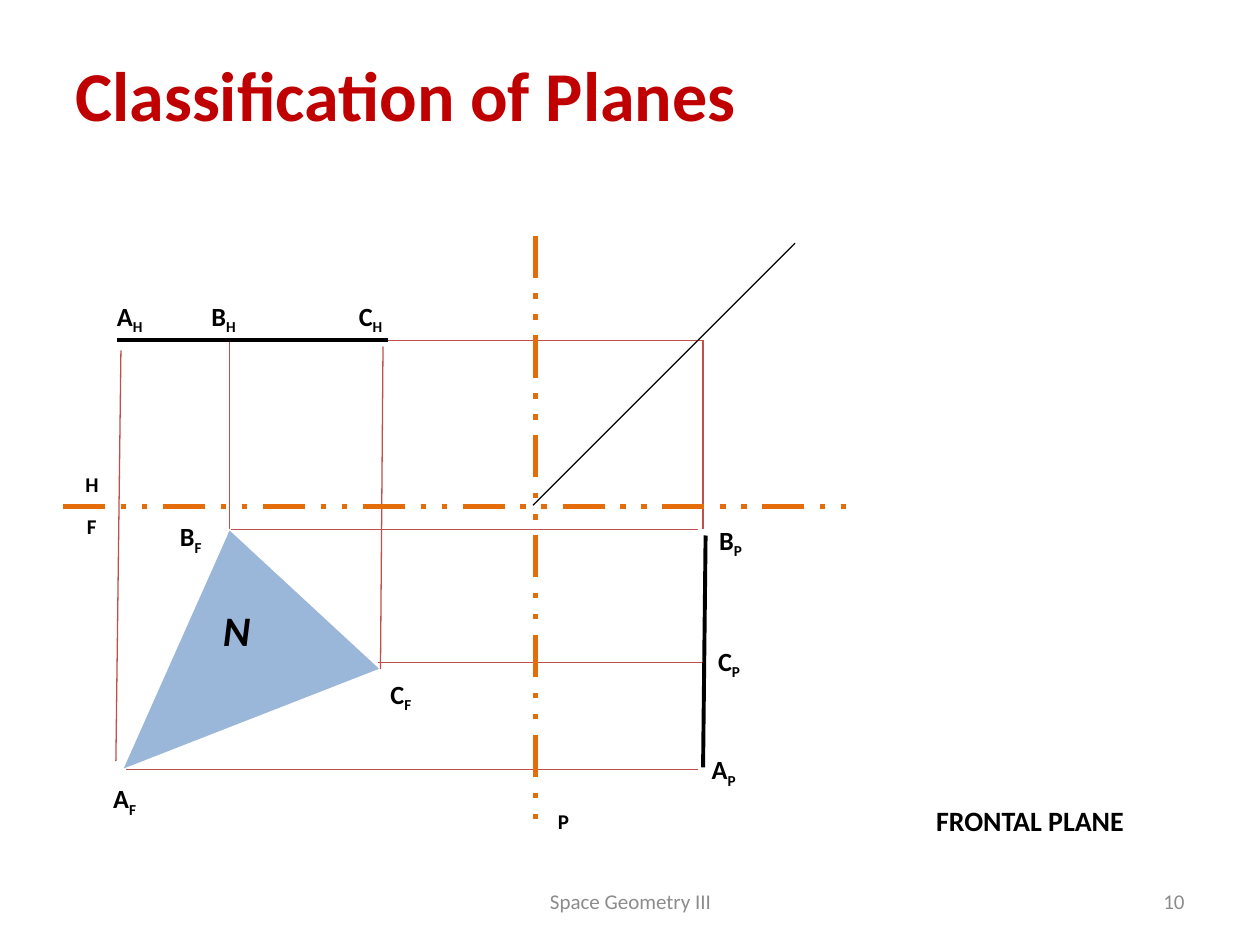
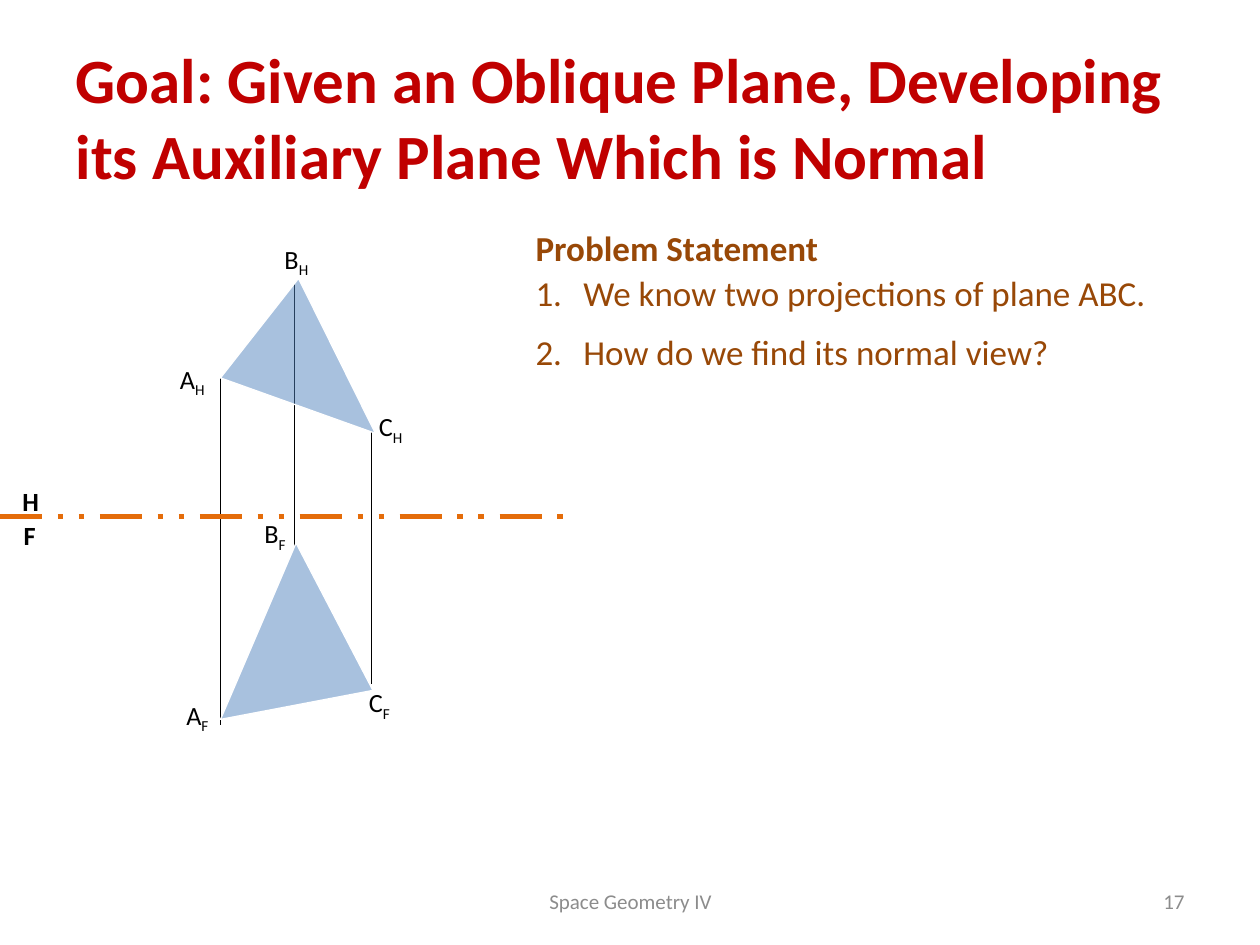
import pptx
import pptx.dml.color
import pptx.enum.dml
import pptx.enum.shapes
import pptx.enum.text
import pptx.oxml.ns
import pptx.util
from lxml import etree

Inches = pptx.util.Inches
Pt = pptx.util.Pt
RGB = pptx.dml.color.RGBColor
ALIGN = pptx.enum.text.PP_ALIGN
MIDDLE = pptx.enum.text.MSO_ANCHOR.MIDDLE
FIT = pptx.enum.text.MSO_AUTO_SIZE
qn = pptx.oxml.ns.qn

# Shared look
FONT = "Calibri"
RED = RGB(0xC0, 0x00, 0x00)
BROWN = RGB(0x98, 0x48, 0x07)
ORANGE = RGB(0xE4, 0x6C, 0x0A)
ROSE = RGB(0xC0, 0x50, 0x4D)
BLUE = RGB(0x4F, 0x81, 0xBD)
GRAY = RGB(0x8C, 0x8C, 0x8C)
BLACK = RGB(0, 0, 0)
WHITE = RGB(255, 255, 255)


def style(para, size, color=BLACK, bold=False, italic=False):
    font = para.font
    font.name, font.size, font.bold, font.italic = FONT, Pt(size), bold, italic
    font.color.rgb = color


def place(shape, left, top, width, height):
    shape.left, shape.top = Inches(left), Inches(top)
    shape.width, shape.height = Inches(width), Inches(height)


def set_title(slide, text, size, top, height):
    title = slide.shapes.title
    place(title, 0.5, top, 9, height)
    frame = title.text_frame
    frame.text = text
    frame.auto_size = FIT.NONE
    frame.vertical_anchor = MIDDLE
    para = frame.paragraphs[0]
    para.alignment = ALIGN.LEFT
    style(para, size, RED, bold=True)


def add_text(slide, text, left, top, width, height, size, color=BLACK,
             bold=True, italic=False, align=ALIGN.LEFT, wrap=False):
    box = slide.shapes.add_textbox(
        Inches(left), Inches(top), Inches(width), Inches(height))
    frame = box.text_frame
    frame.word_wrap = wrap
    para = frame.paragraphs[0]
    para.alignment = align
    para.add_run().text = text
    style(para, size, color, bold, italic)
    return frame


def add_point(slide, name, left, top, width, bold):
    """Label a point: its letter, then the view as a subscript."""
    frame = add_text(slide, name[0], left, top, width, 0.35, 15, bold=bold)
    sub = frame.paragraphs[0].add_run()
    sub.text = name[1]
    sub._r.get_or_add_rPr().set("baseline", "-25000")


def add_line(slide, x1, y1, x2, y2, color=BLACK, width=0.75):
    line = slide.shapes.add_connector(
        pptx.enum.shapes.MSO_CONNECTOR.STRAIGHT,
        Inches(x1), Inches(y1), Inches(x2), Inches(y2))
    line.line.color.rgb = color
    line.line.width = Pt(width)
    etree.SubElement(line._element.spPr, qn("a:effectLst"))
    return line


def add_fold(slide, x1, y1, x2, y2):
    """Draw a fold line between two views."""
    fold = add_line(slide, x1, y1, x2, y2, ORANGE, 3)
    fold.line.dash_style = pptx.enum.dml.MSO_LINE.DASH_DOT_DOT


def add_plane(slide, points, alpha):
    spots = [(Inches(x), Inches(y)) for x, y in points]
    pen = slide.shapes.build_freeform(*spots[0])
    pen.add_line_segments(spots[1:], close=True)
    plane = pen.convert_to_shape()
    plane.shadow.inherit = False
    plane.fill.solid()
    plane.fill.fore_color.rgb = BLUE
    tint = plane._element.spPr.find(qn("a:solidFill"))[0]
    etree.SubElement(tint, qn("a:alpha")).set("val", str(alpha * 1000))
    plane.line.color.rgb = WHITE
    plane.line.width = Pt(0.75)


def add_foot(slide, text, number):
    for words, left, width, align in (
            (text, 3.42, 3.17, ALIGN.CENTER), (number, 7.17, 2.33, ALIGN.RIGHT)):
        frame = add_text(slide, words, left, 6.95, width, 0.4, 12, GRAY,
                         bold=False, align=align, wrap=True)
        frame.vertical_anchor = MIDDLE


def add_list(slide, head, items):
    """Fill the body with a heading and numbered items."""
    body = slide.placeholders[1]
    place(body, 4.15, 1.75, 5.52, 1.25)
    frame = body.text_frame
    frame.auto_size = FIT.NONE
    frame.text = "\n".join([head] + items)
    for i, para in enumerate(frame.paragraphs):
        props = para._p.get_or_add_pPr()
        indent = Inches(0.38) if i else 0
        props.set("marL", str(indent))
        props.set("indent", str(-indent))
        para.space_before = Pt(0)
        if i:
            para.line_spacing = 1.07
            para.space_after = Pt(8)
            etree.SubElement(props, qn("a:buFont")).set("typeface", "+mj-lt")
            etree.SubElement(props, qn("a:buAutoNum")).set("type", "arabicPeriod")
        else:
            etree.SubElement(props, qn("a:buNone"))
        style(para, 20, BROWN, bold=not i)


def frontal(deck):
    slide = deck.slides.add_slide(deck.slide_layouts[5])
    set_title(slide, "Classification of Planes", 40, 0.33, 0.83)
    add_plane(slide, [(0.97, 6.11), (1.82, 4.2), (3.02, 5.31)], 57)

    # Projectors between the views
    for ends in (
            (0.92, 6.04, 0.96, 2.78), (3.04, 2.75, 3.02, 5.31),
            (1.82, 4.2, 1.82, 2.7), (1.83, 4.2, 5.54, 4.2),
            (1, 6.11, 5.54, 6.11), (3, 5.26, 5.59, 5.26),
            (3.08, 2.7, 5.58, 2.7), (5.58, 2.7, 5.58, 4.2)):
        add_line(slide, *ends, ROSE)

    # Edge views, folds and the miter line
    add_line(slide, 0.93, 2.7, 3.08, 2.7, width=2.25)
    add_line(slide, 5.6, 4.25, 5.58, 6.09, width=2.25)
    add_fold(slide, 4.25, 1.87, 4.25, 6.62)
    add_fold(slide, 0.5, 4.02, 6.75, 4.02)
    add_line(slide, 4.23, 4.01, 6.31, 1.93)

    # Labels
    for name, left, top, width in (
            ("F", 0.59, 4.03, 0.28), ("H", 0.58, 3.69, 0.31),
            ("P", 4.33, 6.37, 0.29)):
        add_text(slide, name, left, top, width, 0.3, 12)
    for name, left, top, width in (
            ("BF", 1.33, 4.08, 0.38), ("AF", 0.8, 6.16, 0.39),
            ("CF", 3, 5.33, 0.38), ("AH", 0.83, 2.33, 0.42),
            ("BH", 1.58, 2.33, 0.41), ("CH", 2.75, 2.33, 0.4),
            ("AP", 5.55, 5.93, 0.4), ("CP", 5.6, 5.07, 0.39),
            ("BP", 5.61, 4.11, 0.39)):
        add_point(slide, name, left, top, width, bold=True)
    add_text(slide, "N", 1.67, 4.75, 0.42, 0.5, 24, italic=True)
    add_text(slide, "FRONTAL PLANE", 7.31, 6.33, 1.73, 0.37, 16,
             align=ALIGN.CENTER, wrap=True)
    add_foot(slide, "Space Geometry III", "10")


def oblique(deck):
    slide = deck.slides.add_slide(deck.slide_layouts[1])
    set_title(slide, "Goal: Given an Oblique Plane, Developing its Auxiliary "
              "Plane Which is Normal", 36, 0.3, 1.25)
    add_list(slide, "Problem Statement",
             ["We know two projections of plane ABC.",
              "How do we find its normal view?"])

    # Projectors, both views and the fold
    for x, top, foot in ((2.34, 2.25, 4.33), (1.75, 3, 5.75), (2.95, 3.43, 5.43)):
        add_line(slide, x, top, x, foot)
    add_plane(slide, [(1.75, 3), (2.37, 2.21), (2.98, 3.44)], 49)
    add_plane(slide, [(2.35, 4.31), (2.96, 5.48), (1.75, 5.71)], 49)
    add_fold(slide, 0, 4.1, 4.54, 4.1)

    # Labels
    add_text(slide, "H", 0.08, 3.8, 0.34, 0.35, 15)
    add_text(slide, "F", 0.09, 4.07, 0.3, 0.35, 15)
    for name, left, top, width in (
            ("BF", 2, 4.06, 0.38), ("BH", 2.16, 1.88, 0.4),
            ("AH", 1.33, 2.83, 0.41), ("CH", 2.91, 3.21, 0.4),
            ("AF", 1.38, 5.5, 0.39), ("CF", 2.83, 5.4, 0.38)):
        add_point(slide, name, left, top, width, bold=False)
    add_foot(slide, "Space Geometry IV", "17")


def main():
    deck = pptx.Presentation()
    deck.slide_width, deck.slide_height = Inches(10), Inches(7.5)
    frontal(deck)
    oblique(deck)
    deck.save("out.pptx")


if __name__ == "__main__":
    main()
